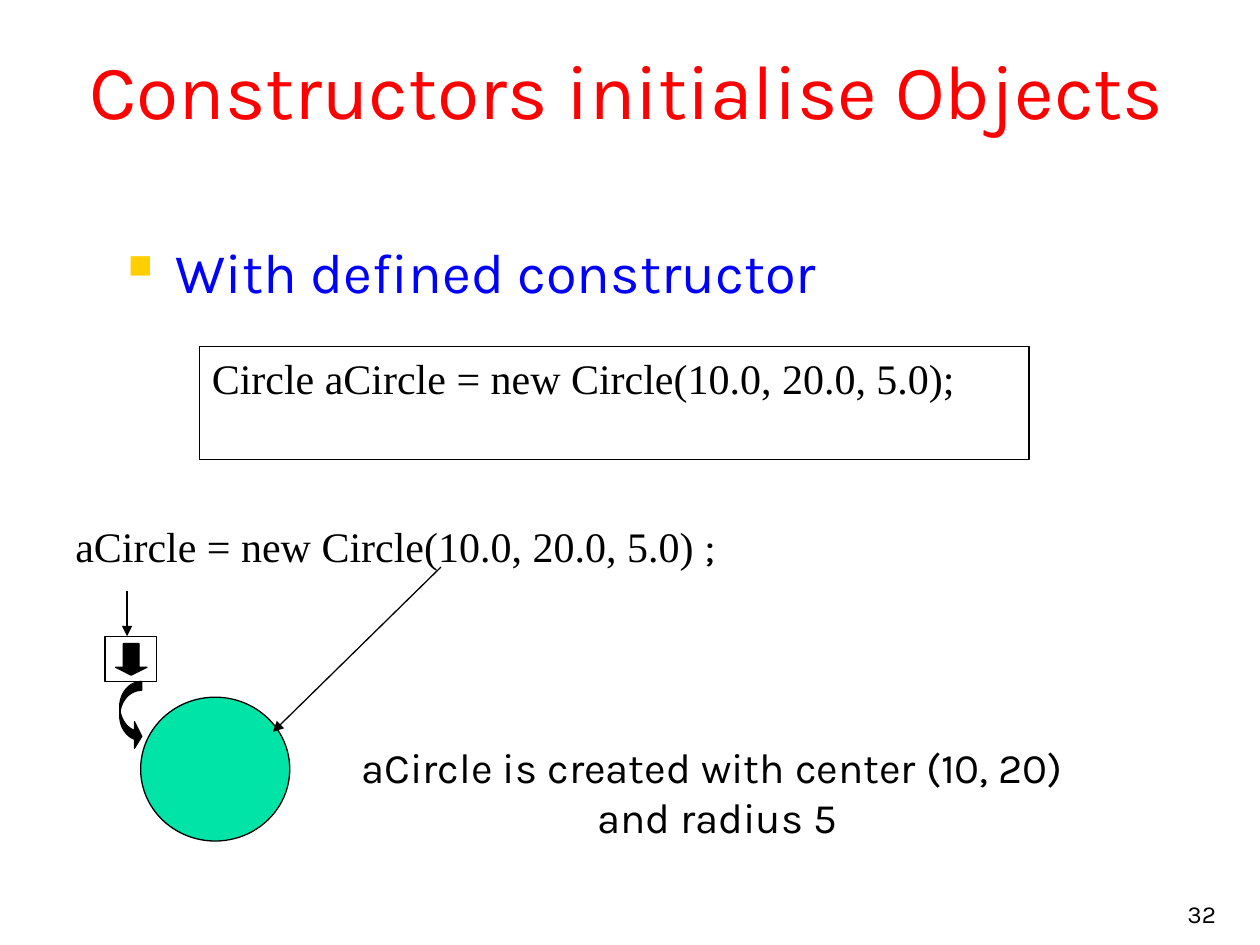
from lxml.etree import SubElement as Sub
from pptx import Presentation
from pptx.dml.color import RGBColor as RGB
from pptx.enum.shapes import MSO_CONNECTOR as Conn, MSO_SHAPE as Kind
from pptx.enum.text import MSO_ANCHOR as Anchor, PP_ALIGN as Align
from pptx.oxml.ns import qn
from pptx.util import Inches, Pt

CELL = Inches(10) / 120
INK = {
    "black": "000000",
    "white": "FFFFFF",
    "red": "FF0000",
    "blue": "0000FF",
    "gold": "FFCF01",
    "green": "00E4A8",
}
SANS = "Karla"
SERIF = "Times New Roman"


def grid(*cells):
    return [round(n * CELL) for n in cells]


def hue(name):
    return RGB.from_string(INK[name])


def write(shape, lines, size, ink="black", align=Align.LEFT, anchor=Anchor.TOP, wrap=True):
    frame = shape.text_frame
    frame.word_wrap = wrap
    frame.vertical_anchor = anchor
    for row, line in enumerate(lines):
        para = frame.paragraphs[0] if row == 0 else frame.add_paragraph()
        para.alignment = align
        for text, face in line:
            run = para.add_run()
            run.text = text
            run.font.name = face
            run.font.size = Pt(size)
            run.font.color.rgb = hue(ink)


def label(slide, area, lines, size, **look):
    box = slide.shapes.add_textbox(*grid(*area))
    write(box, lines, size, **look)
    return box


def bullet(box, ink):
    para = box.text_frame.paragraphs[0]
    para.space_before = Pt(8)
    props = para._p.get_or_add_pPr()
    props.set("marL", str(Inches(0.38)))
    props.set("indent", str(-Inches(0.38)))
    color = Sub(props, qn("a:buClr"))
    Sub(color, qn("a:srgbClr"), val=INK[ink])
    Sub(props, qn("a:buSzPct"), val="60000")
    Sub(props, qn("a:buChar"), char="■")


def shape(slide, kind, area, fill=None, line="black", bend=()):
    item = slide.shapes.add_shape(kind, *grid(*area))
    item.shadow.inherit = False
    if fill:
        item.fill.solid()
        item.fill.fore_color.rgb = hue(fill)
    else:
        item.fill.background()
    if line:
        item.line.color.rgb = hue(line)
        item.line.width = Pt(0.75)
    else:
        item.line.fill.background()
    for spot, value in enumerate(bend):
        item.adjustments[spot] = value
    return item


def arrow(slide, start, end):
    item = slide.shapes.add_connector(Conn.STRAIGHT, *grid(*start, *end))
    item.line.color.rgb = hue("black")
    item.line.width = Pt(0.75)
    Sub(item.line._get_or_add_ln(), qn("a:tailEnd"), type="triangle")
    Sub(item._element.spPr, qn("a:effectLst"))


def main():
    deck = Presentation()
    deck.slide_width, deck.slide_height = grid(120, 90)
    slide = deck.slides.add_slide(deck.slide_layouts[6])

    label(slide, (92, 83, 25, 6), [[("32", SANS)]], 14,
          align=Align.RIGHT, anchor=Anchor.BOTTOM)
    title = shape(slide, Kind.RECTANGLE, (2, 2, 115.5, 13), "white", None)
    write(title, [[("Constructors initialise Objects", SANS)]], 44,
          "red", Align.CENTER, Anchor.MIDDLE)
    body = label(slide, (11, 22, 106, 58.4),
                 [[("With defined constructor", SANS)]], 32, ink="blue")
    bullet(body, "gold")

    code = shape(slide, Kind.RECTANGLE, (19, 33, 79, 10.8))
    write(code, [[("Circle aCircle = new Circle(10.0, 20.0, 5.0);", SERIF)]], 24)
    call = shape(slide, Kind.RECTANGLE, (6, 49, 77, 6), line="white")
    write(call, [[("aCircle = new Circle(10.0, 20.0, 5.0) ", SERIF), (";", SANS)]], 24)

    shape(slide, Kind.RECTANGLE, (10, 60.6, 4.9, 4.3), "white")
    shape(slide, Kind.CURVED_RIGHT_ARROW, (11.4, 64.9, 2.1, 6.5), "black",
          bend=(0.4, 1.2, 0.33))
    shape(slide, Kind.OVAL, (13.4, 66.4, 14.2, 13.7), "green")
    arrow(slide, (12.1, 56.3), (12.1, 60.6))
    arrow(slide, (42, 54), (26, 69.7))
    label(slide, (32.2, 70, 72.2, 10.8),
          [[("aCircle is created with center (10, 20) ", SANS)],
           [("and radius 5", SANS)]], 24, align=Align.CENTER, wrap=False)
    shape(slide, Kind.DOWN_ARROW, (11, 61.3, 3, 3), "black", bend=(0.5, 0.25))

    deck.save("out.pptx")


if __name__ == "__main__":
    main()
